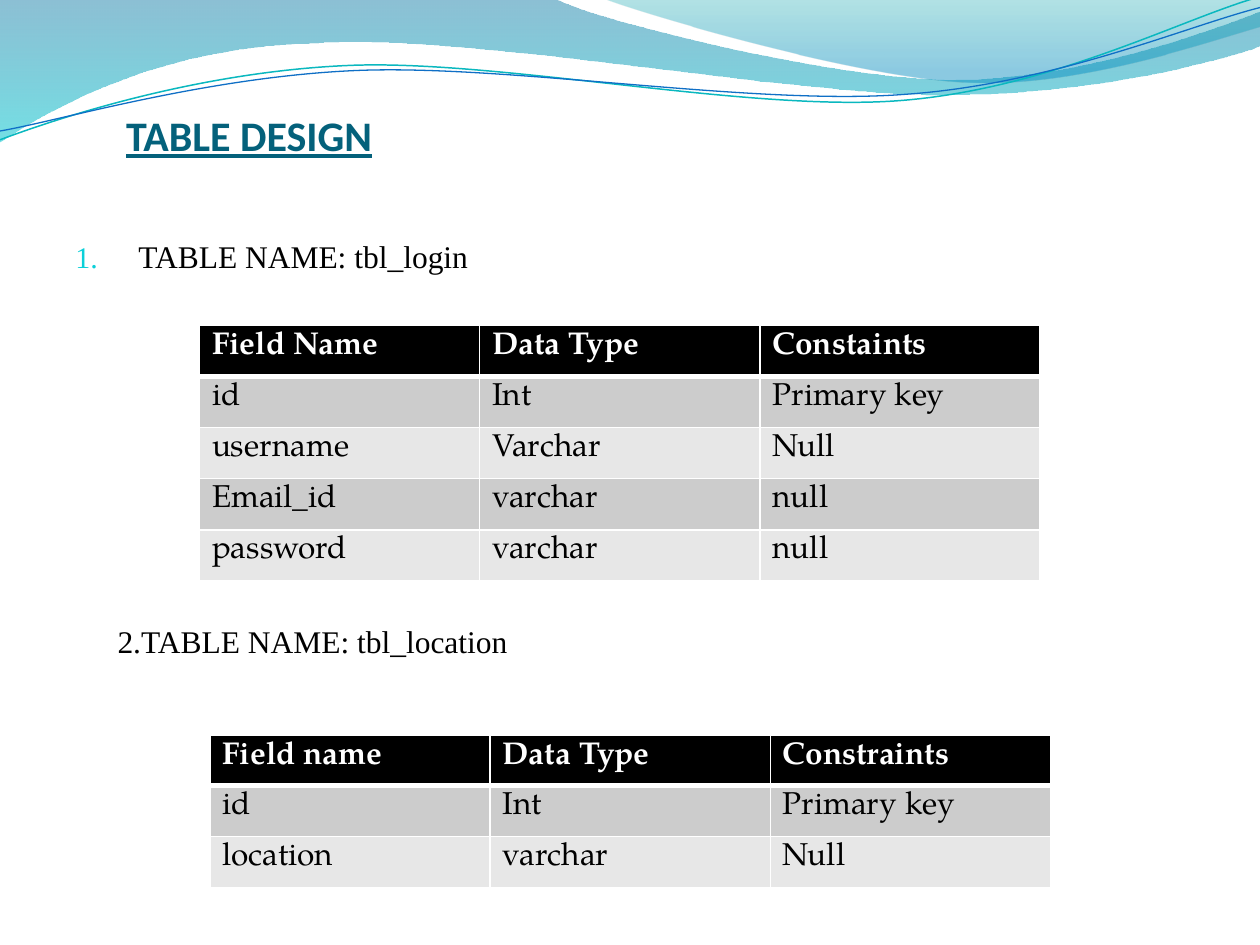
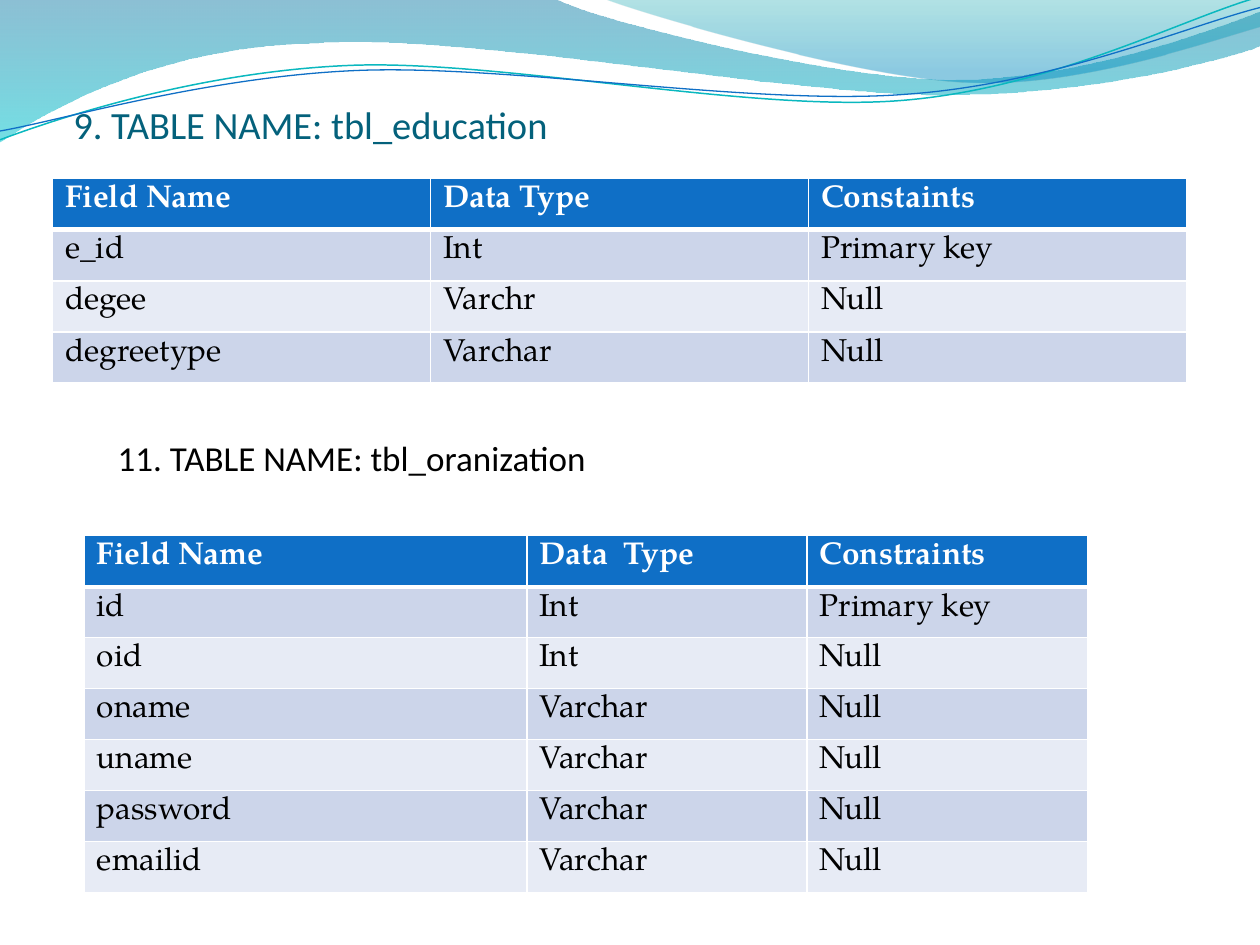
from dataclasses import dataclass

from lxml.etree import SubElement
from pptx import Presentation
from pptx.dml.color import RGBColor as Rgb
from pptx.enum.text import MSO_ANCHOR as Anchor, MSO_AUTO_SIZE as AutoSize, PP_ALIGN as Align
from pptx.oxml.ns import qn
from pptx.util import Cm, Pt


@dataclass(frozen=True)
class Theme:
    heading: str = "04617B"
    ink: str = "000000"
    paper: str = "FFFFFF"
    number: str = "0BD0D9"
    # Table colours: header, odd rows, even rows
    mono: tuple = ("000000", "CCCCCC", "E7E7E7")
    blue: tuple = ("0F6FC6", "CCD5EA", "E7EBF5")
    sans: str = "Calibri"
    serif: str = "Times New Roman"
    table_font: str = "TeX Gyre Pagella"
    title_size: int = 24
    subtitle_size: int = 22
    caption_size: int = 20
    text_size: int = 18


# Wave outlines in tenths of the page width: a pair is a line end,
# six numbers are a Bezier curve (two controls and an end)
BANDS = [
    # outline, gradient stops (position, colour, opacity in percent)
    ([(0, 0), (4.4, -0.01), (4.76, 0.17, 6.64, 0.63, 7.58, 0.63),
      (8.53, 0.63, 9.58, 0.26, 10, 0.09), (10.01, 0.36),
      (9.83, 0.44, 8.7, 0.76, 7.46, 0.75), (6.22, 0.75, 3.82, 0.28, 2.57, 0.34),
      (1.29, 0.36, 0.46, 0.83, -0.01, 1.13), (0, 0)],
     [(0, "0074A1", 45), (1, "00C6CF", 55)]),
    ([(4.79, -0.01), (5.09, 0.11, 6.82, 0.62, 7.69, 0.65),
      (8.56, 0.69, 9.61, 0.32, 10, 0.21), (10, 0), (4.79, -0.01)],
     [(0, "00A1A9", 30), (0.8, "008BBF", 45)]),
]
WAVES = [
    # outline, colour, line width
    ([(0, 1.11), (0.48, 0.93, 1.58, 0.57, 2.77, 0.52),
      (3.95, 0.47, 5.93, 0.89, 7.13, 0.8), (8.33, 0.71, 9.38, 0.15, 9.98, -0.02)],
     "0AB8BF", 0.85),
    ([(0, 1.04), (0.47, 0.96, 1.64, 0.61, 2.83, 0.56),
      (4.03, 0.51, 5.97, 0.84, 7.17, 0.75), (8.36, 0.67, 9.41, 0.21, 10, 0.06)],
     "0F6FC6", 0.75),
]
UNIT = Cm(2.54)
ROW = 1.03
THIRD = 5.65


def bend(shape, steps):
    """Join the three line ends of each curve step into one Bezier segment."""
    lines = iter(list(shape.element.iter(qn("a:lnTo"))))
    for step in steps:
        line = next(lines)
        if len(step) == 6:
            line.tag = qn("a:cubicBezTo")
            for _ in range(2):
                extra = next(lines)
                line.append(extra[0])
                extra.getparent().remove(extra)


class SlideMaker:
    def __init__(self, theme):
        self.theme = theme
        self.deck = Presentation()
        self.deck.slide_width, self.deck.slide_height = Cm(25.4), Cm(19.05)
        self.layout = self.deck.slide_layouts[5]
        self.page = None

    def new_page(self):
        self.page = self.deck.slides.add_slide(self.layout)

    # Shared background
    def outline(self, steps, close):
        start, *rest = [(x * UNIT, y * UNIT) for step in steps
                        for x, y in zip(step[::2], step[1::2])]
        builder = self.page.shapes.build_freeform(*start)
        builder.add_line_segments(rest, close=close)
        shape = builder.convert_to_shape()
        bend(shape, steps[1:])
        shape.shadow.inherit = False
        return shape

    def band(self, steps, stops):
        shape = self.outline(steps, True)
        shape.line.fill.background()
        shape.fill.gradient()
        shape.fill.gradient_angle = 270
        for stop, (position, color, _) in zip(shape.fill.gradient_stops, stops):
            stop.position = position
            stop.color.rgb = Rgb.from_string(color)
        colors = shape.element.iter(qn("a:srgbClr"))
        for node, (_, _, opacity) in zip(list(colors), stops):
            SubElement(node, qn("a:alpha"), val=str(opacity * 1000))
        return shape

    def wave(self, steps, color, width):
        shape = self.outline(steps, False)
        shape.fill.background()
        shape.line.color.rgb = Rgb.from_string(color)
        shape.line.width = Pt(width)
        return shape

    def decorate_layout(self):
        """Draw the waves and move them behind everything in the layout."""
        shapes = [self.band(*band) for band in BANDS] + [self.wave(*wave) for wave in WAVES]
        tree = self.layout.shapes.element
        for index, shape in enumerate(shapes, start=2):
            tree.insert(index, shape.element)

    # Text
    def style(self, para, size, font, color, bold=False, underline=False):
        para.font.size = Pt(size)
        para.font.name = font
        para.font.bold = bold
        para.font.underline = underline
        para.font.color.rgb = Rgb.from_string(color)

    def title(self, text, area, size, bottom, strong=False):
        box = self.page.shapes.title
        box.left, box.top, box.width, box.height = map(Cm, area)
        frame = box.text_frame
        frame.text = text
        frame.auto_size = AutoSize.NONE
        frame.vertical_anchor = Anchor.BOTTOM
        frame.margin_left = frame.margin_right = frame.margin_top = 0
        frame.margin_bottom = Cm(bottom)
        para = frame.paragraphs[0]
        para.alignment = Align.LEFT
        self.style(para, size, self.theme.sans, self.theme.heading, strong, strong)

    def caption(self, text, area, size, font, align=Align.LEFT, anchor=Anchor.MIDDLE,
                bottom=0.13, numbered=False):
        frame = self.page.shapes.add_textbox(*map(Cm, area)).text_frame
        frame.word_wrap = True
        frame.vertical_anchor = anchor
        frame.margin_bottom = Cm(bottom)
        para = frame.paragraphs[0]
        para.text = text
        para.alignment = align
        if numbered:
            self.number(para)
        self.style(para, size, font, self.theme.ink)

    def number(self, para):
        props = para._p.get_or_add_pPr()
        props.set("marL", str(Cm(1.27)))
        props.set("indent", str(-Cm(1.27)))
        SubElement(SubElement(props, qn("a:buClr")), qn("a:srgbClr"), val=self.theme.number)
        SubElement(props, qn("a:buSzPct"), val="95000")
        SubElement(props, qn("a:buAutoNum"), type="arabicPeriod")

    # Tables
    def borders(self, cell, top, bottom):
        props = cell._tc.get_or_add_tcPr()
        for side, width in (("L", 1), ("R", 1), ("T", top), ("B", bottom)):
            line = SubElement(props, qn(f"a:ln{side}"), w=str(Pt(width)))
            fill = SubElement(line, qn("a:solidFill"))
            SubElement(fill, qn("a:srgbClr"), val=self.theme.paper)

    def table(self, left, top, widths, heights, colors, rows):
        head, *bands = colors
        frame = self.page.shapes.add_table(len(rows), len(widths), Cm(left), Cm(top),
                                           Cm(sum(widths)), Cm(sum(heights)))
        grid = frame.table
        for column, width in zip(grid.columns, widths):
            column.width = Cm(width)
        for r, (row, height) in enumerate(zip(rows, heights)):
            grid.rows[r].height = Cm(height)
            for c, text in enumerate(row):
                cell = grid.cell(r, c)
                cell.text = text
                self.borders(cell, 3 if r == 1 else 1, 3 if r == 0 else 1)
                cell.fill.solid()
                cell.fill.fore_color.rgb = Rgb.from_string(bands[(r - 1) % 2] if r else head)
                self.style(cell.text_frame.paragraphs[0], self.theme.text_size,
                           self.theme.table_font,
                           self.theme.ink if r else self.theme.paper, bold=r == 0)


def main():
    theme = Theme()
    maker = SlideMaker(theme)

    # Login and location tables
    maker.new_page()
    maker.decorate_layout()
    maker.title("TABLE DESIGN", (2.54, 2.12, 20.96, 2.12), theme.title_size, 1.01, strong=True)
    maker.caption("TABLE NAME: tbl_login", (1.27, 4.66, 22.86, 12.9), theme.text_size,
                  theme.serif, anchor=Anchor.TOP, numbered=True)
    maker.caption("2.TABLE NAME: tbl_location", (2.12, 12.4, 12.9, 1.03), theme.text_size,
                  theme.serif, align=Align.JUSTIFY)
    maker.table(4.02, 6.56, [THIRD] * 3, [ROW] * 5, theme.mono, [
        ("Field Name", "Data Type", "Constaints"),
        ("id", "Int", "Primary key"),
        ("username", "Varchar", "Null"),
        ("Email_id", "varchar", "null"),
        ("password", "varchar", "null"),
    ])
    maker.table(4.23, 14.82, [THIRD] * 3, [1.01] + [ROW] * 2, theme.mono, [
        ("Field name", "Data Type", "Constraints"),
        ("id", "Int", "Primary key"),
        ("location", "varchar", "Null"),
    ])

    # Education and organisation tables
    maker.new_page()
    maker.title("9. TABLE NAME: tbl_education", (1.48, 1.06, 22.86, 4.02),
                theme.subtitle_size, 2.11)
    maker.caption("11. TABLE NAME: tbl_oranization", (1.06, 8.68, 12.07, 1.7),
                  theme.caption_size, theme.sans, align=Align.CENTER, bottom=0.74)
    maker.table(1.06, 3.6, [7.62] * 3, [ROW] * 4, theme.blue, [
        ("Field Name", "Data Type", "Constaints"),
        ("e_id", "Int", "Primary key"),
        ("degee", "Varchr", "Null"),
        ("degreetype", "Varchar", "Null"),
    ])
    maker.table(1.7, 10.8, [8.92, THIRD, THIRD], [ROW, 0.9] + [ROW] * 5, theme.blue, [
        ("Field Name", "Data  Type", "Constraints"),
        ("id", "Int", "Primary key"),
        ("oid", "Int", "Null"),
        ("oname", "Varchar", "Null"),
        ("uname", "Varchar", "Null"),
        ("password", "Varchar", "Null"),
        ("emailid", "Varchar", "Null"),
    ])

    maker.deck.save("out.pptx")


if __name__ == "__main__":
    main()
